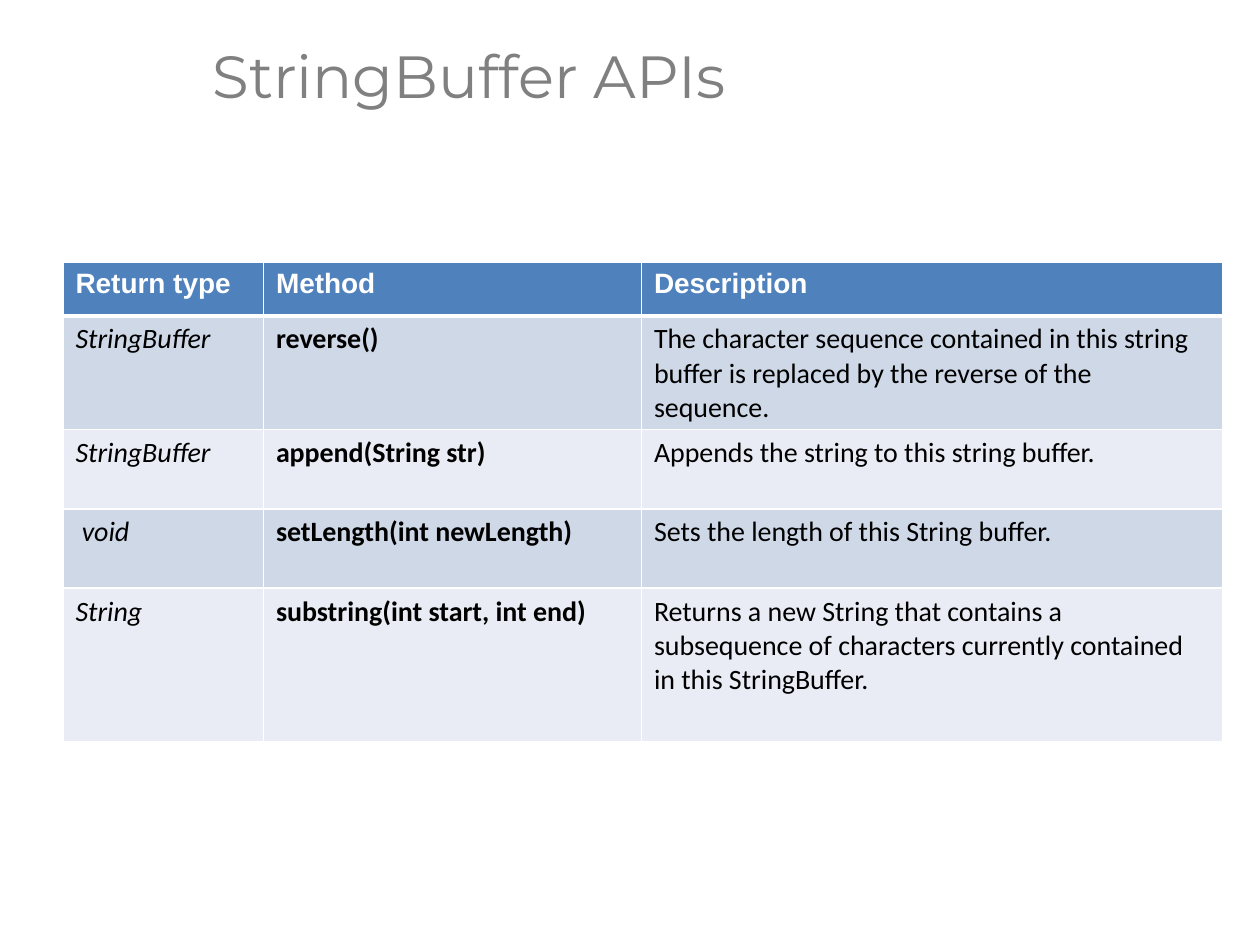
from lxml import etree
from pptx import Presentation
from pptx.dml.color import RGBColor
from pptx.enum.text import MSO_ANCHOR
from pptx.oxml.ns import qn
from pptx.util import Cm, Pt

MIDDLE = MSO_ANCHOR.MIDDLE

WHITE = RGBColor(0xFF, 0xFF, 0xFF)
BLACK = RGBColor(0x00, 0x00, 0x00)
GRAY = RGBColor(0x80, 0x80, 0x80)
HEADER_BLUE = RGBColor(0x4F, 0x81, 0xBD)
BAND_COLORS = (RGBColor(0xCF, 0xD8, 0xE7), RGBColor(0xE9, 0xEC, 0xF4))

COLUMN_WIDTHS = (4.04, 7.62, 11.71)
ROW_HEIGHTS = (1.09, 1.73, 1.6, 1.6, 3.1)
HEADER_FORMAT = {"font": "Arial", "color": WHITE, "bold": True}
COLUMN_FORMATS = ({"italic": True}, {"bold": True}, {})
ROWS = (
    ("Return type", "Method", "Description"),
    ("StringBuffer", "reverse()",
     "The character sequence contained in this string buffer is replaced "
     "by the reverse of the sequence."),
    ("StringBuffer", "append(String\u00a0str)",
     "Appends the string to this string buffer."),
    ("\u00a0void", "setLength(int newLength)",
     "Sets the length of this String buffer."),
    ("String", "substring(int\u00a0start, int\u00a0end)",
     "Returns a new String that contains a subsequence of characters "
     "currently contained in this StringBuffer."),
)


def write_text(text_frame, text, font="Calibri", size=16, color=BLACK,
               bold=False, italic=False, line_spacing=None):
    """Write one formatted paragraph into a text frame."""
    paragraph = text_frame.paragraphs[0]
    paragraph.line_spacing = line_spacing
    run = paragraph.add_run()
    run.text = text
    run.font.name = font
    run.font.size = Pt(size)
    run.font.color.rgb = color
    run.font.bold = bold
    run.font.italic = italic


def set_borders(cell, color, **widths):
    """Draw cell borders, with widths in points keyed by side."""
    properties = cell._tc.get_or_add_tcPr()
    for position, side in enumerate("LRTB"):
        line = etree.Element(qn(f"a:ln{side}"), w=str(Pt(widths.get(side, 1))))
        fill = etree.SubElement(line, qn("a:solidFill"))
        etree.SubElement(fill, qn("a:srgbClr"), val=str(color))
        properties.insert(position, line)


def add_title(slide, text):
    """Add the slide title."""
    box = slide.shapes.add_textbox(Cm(4.04), Cm(0.03), Cm(21.36), Cm(3.15))
    box.text_frame.word_wrap = True
    box.text_frame.vertical_anchor = MIDDLE
    write_text(box.text_frame, text, font="Montserrat", size=34, color=GRAY,
               line_spacing=0.9)


def add_method_table(slide):
    """Add the table of methods with a header and banded rows."""
    table = slide.shapes.add_table(
        len(ROWS), len(COLUMN_WIDTHS), Cm(1.27), Cm(5.28),
        Cm(sum(COLUMN_WIDTHS)), Cm(sum(ROW_HEIGHTS))).table
    for column, width in zip(table.columns, COLUMN_WIDTHS):
        column.width = Cm(width)
    for row_index, texts in enumerate(ROWS):
        table.rows[row_index].height = Cm(ROW_HEIGHTS[row_index])
        is_header = row_index == 0
        for column_index, text in enumerate(texts):
            cell = table.cell(row_index, column_index)
            cell.fill.solid()
            cell.fill.fore_color.rgb = (
                HEADER_BLUE if is_header else BAND_COLORS[(row_index - 1) % 2])
            set_borders(cell, WHITE, T=3 if row_index == 1 else 1,
                        B=3 if is_header else 1)
            text_format = (HEADER_FORMAT if is_header
                           else COLUMN_FORMATS[column_index])
            write_text(cell.text_frame, text, **text_format)


def main():
    """Build and save the slide."""
    presentation = Presentation()
    presentation.slide_width = Cm(25.4)
    presentation.slide_height = Cm(19.05)
    slide = presentation.slides.add_slide(presentation.slide_layouts[6])
    add_title(slide, "StringBuffer APIs")
    add_method_table(slide)
    presentation.save("out.pptx")


main()
